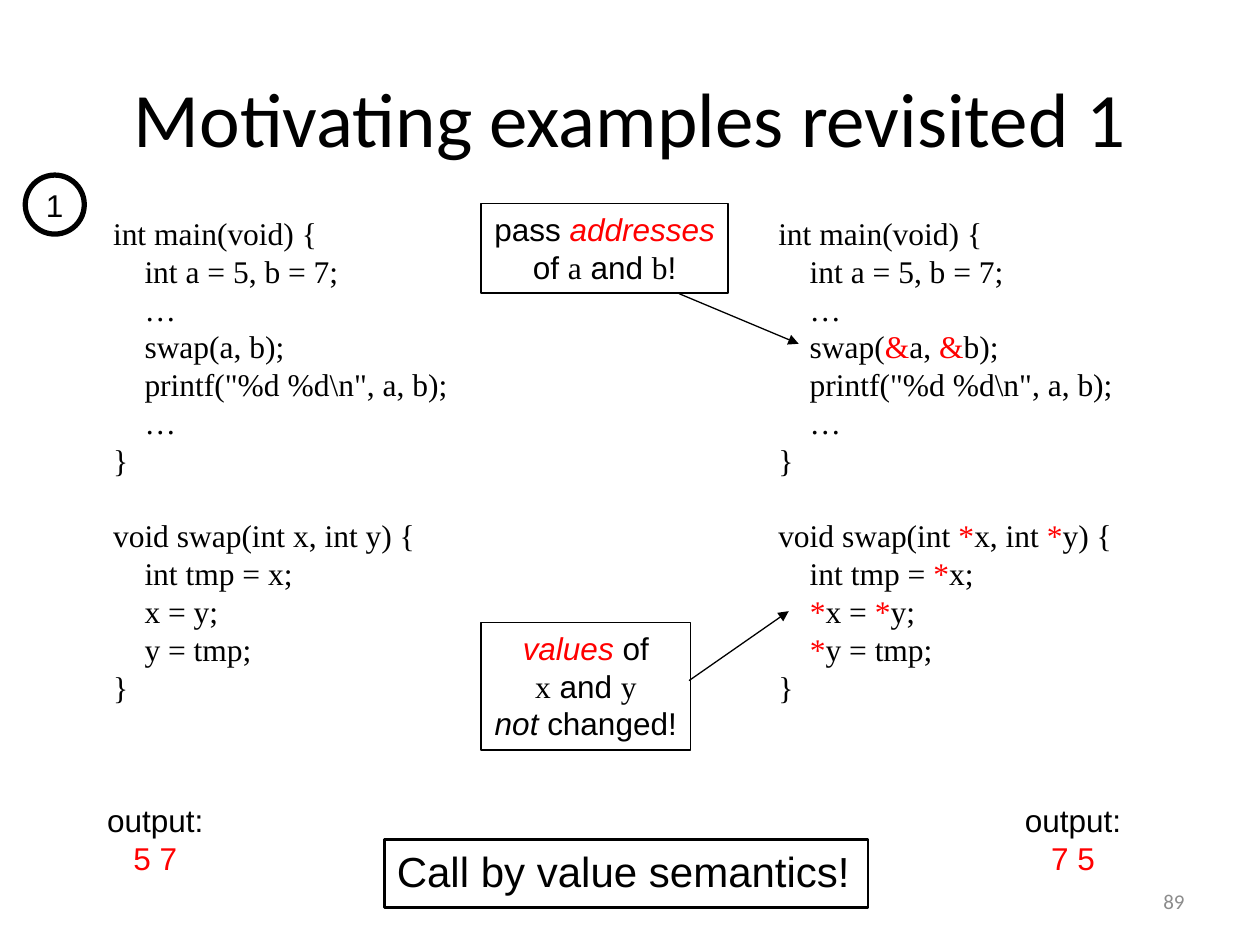
from itertools import groupby

from lxml import etree
from pptx import Presentation
from pptx import util as u
from pptx.dml.color import RGBColor
from pptx.enum import shapes, text
from pptx.oxml import ns

BLACK = RGBColor(0x00, 0x00, 0x00)
RED = RGBColor(0xFF, 0x00, 0x00)
GRAY = RGBColor(0x8C, 0x8C, 0x8C)
WHITE = RGBColor(0xFF, 0xFF, 0xFF)

SANS = {"name": "Arial", "size": u.Pt(18), "color": BLACK}
ITALIC = SANS | {"italic": True}
RED_SANS = SANS | {"color": RED}
RED_ITALIC = ITALIC | {"color": RED}
SERIF = SANS | {"name": "Times New Roman"}
RED_SERIF = SERIF | {"color": RED}
LARGE = SANS | {"size": u.Pt(24)}
TITLE = {"name": "Calibri", "size": u.Pt(44), "color": BLACK}
NUMBER = {"name": "Calibri", "size": u.Pt(12), "color": GRAY}

LEFT, CENTER, RIGHT = text.PP_ALIGN.LEFT, text.PP_ALIGN.CENTER, text.PP_ALIGN.RIGHT


def write(shape, lines, alignment, **frame_format):
    frame = shape.text_frame
    for key, value in frame_format.items():
        setattr(frame, key, value)
    for index, line in enumerate(lines):
        paragraph = frame.paragraphs[0] if index == 0 else frame.add_paragraph()
        paragraph.alignment = alignment
        for words, style in line:
            run = paragraph.add_run()
            run.text = words
            for key, value in style.items():
                if key == "color":
                    run.font.color.rgb = value
                else:
                    setattr(run.font, key, value)


def add_box(kind, place, fill, width):
    shape = slide.shapes.add_shape(kind, *map(u.Cm, place))
    shape.shadow.inherit = False
    if fill is None:
        shape.fill.background()
    else:
        shape.fill.solid()
        shape.fill.fore_color.rgb = fill
    shape.line.color.rgb = BLACK
    shape.line.width = u.Pt(width)
    return shape


presentation = Presentation()
presentation.slide_width = u.Cm(25.4)
presentation.slide_height = u.Cm(19.05)
slide = presentation.slides.add_slide(presentation.slide_layouts[5])

GROW = {"word_wrap": False, "auto_size": text.MSO_AUTO_SIZE.SHAPE_TO_FIT_TEXT}
MIDDLE = {"vertical_anchor": text.MSO_ANCHOR.MIDDLE}

title = slide.shapes.title
title.left, title.top, title.width, title.height = map(u.Cm, (1.27, 0.76, 22.86, 3.18))
write(title, [[("Motivating examples revisited 1", TITLE)]], CENTER, **MIDDLE)

by_value = r"""int main(void) {
    int a = 5, b = 7;
    …
    swap(a, b);
    printf("%d %d\n", a, b);
    …
}
void swap(int x, int y) {
    int tmp = x;
    x = y;
    y = tmp;
}"""
by_address = r"""int main(void) {
    int a = 5, b = 7;
    …
    swap(&a, &b);
    printf("%d %d\n", a, b);
    …
}
void swap(int *x, int *y) {
    int tmp = *x;
    *x = *y;
    *y = tmp;
}"""
for left, code in ((2.03, by_value), (15.44, by_address)):
    listing = slide.shapes.add_textbox(u.Cm(left), u.Cm(4.19), u.Cm(7.26), u.Cm(10.95))
    lines = [
        [("".join(part), RED_SERIF if marked else SERIF)
         for marked, part in groupby(line, lambda letter: letter in "&*")]
        for line in code.splitlines()
    ]
    write(listing, lines, LEFT, **GROW)
    for paragraph in listing.text_frame.paragraphs:
        if paragraph.text.startswith("void"):
            paragraph.space_before = u.Pt(21.6)

for left, result in ((1.9, "5 7"), (20.4, "7 5")):
    output = slide.shapes.add_textbox(u.Cm(left), u.Cm(16.02), u.Cm(2.46), u.Cm(1.78))
    write(output, [[("output:", SANS)], [(result, RED_SANS)]], CENTER, **GROW)

badge = add_box(shapes.MSO_SHAPE.OVAL, (0.51, 3.53, 1.19, 1.19), WHITE, 3)
write(badge, [[("1", SANS)]], CENTER, word_wrap=False, **MIDDLE)

TOP = {"vertical_anchor": text.MSO_ANCHOR.TOP}
summary = add_box(shapes.MSO_SHAPE.RECTANGLE, (7.75, 16.92, 9.75, 1.37), None, 1.5)
write(summary, [[("Call by value semantics!", LARGE)]], LEFT, **GROW, **TOP)

callouts = [
    ((9.7, 4.11, 4.98, 1.8), (13.69, 5.92, 16.1, 6.93), [
        [("pass ", SANS), ("addresses", RED_ITALIC)],
        [("of ", SANS), ("a", SERIF), (" and ", SANS), ("b", SERIF), ("!", SANS)],
    ]),
    ((9.7, 12.55, 4.22, 2.57), (13.89, 13.72, 15.9, 12.32), [
        [("values", RED_ITALIC), (" of", SANS)],
        [("x", SERIF), (" and ", SANS), ("y", SERIF)],
        [("not", ITALIC), (" changed!", SANS)],
    ]),
]
for place, ends, lines in callouts:
    callout = add_box(shapes.MSO_SHAPE.RECTANGLE, place, None, 0.75)
    write(callout, lines, CENTER, **GROW, **TOP)
    arrow = slide.shapes.add_connector(shapes.MSO_CONNECTOR.STRAIGHT, *map(u.Cm, ends))
    arrow.line.color.rgb = BLACK
    arrow.line.width = u.Pt(0.75)
    etree.SubElement(arrow.line._get_or_add_ln(), ns.qn("a:tailEnd"), type="triangle")
    etree.SubElement(arrow._element.spPr, ns.qn("a:effectLst"))

number = slide.shapes.add_textbox(u.Cm(18.2), u.Cm(17.66), u.Cm(5.93), u.Cm(1.01))
write(number, [[("89", NUMBER)]], RIGHT, word_wrap=True, **MIDDLE)

presentation.save("out.pptx")
